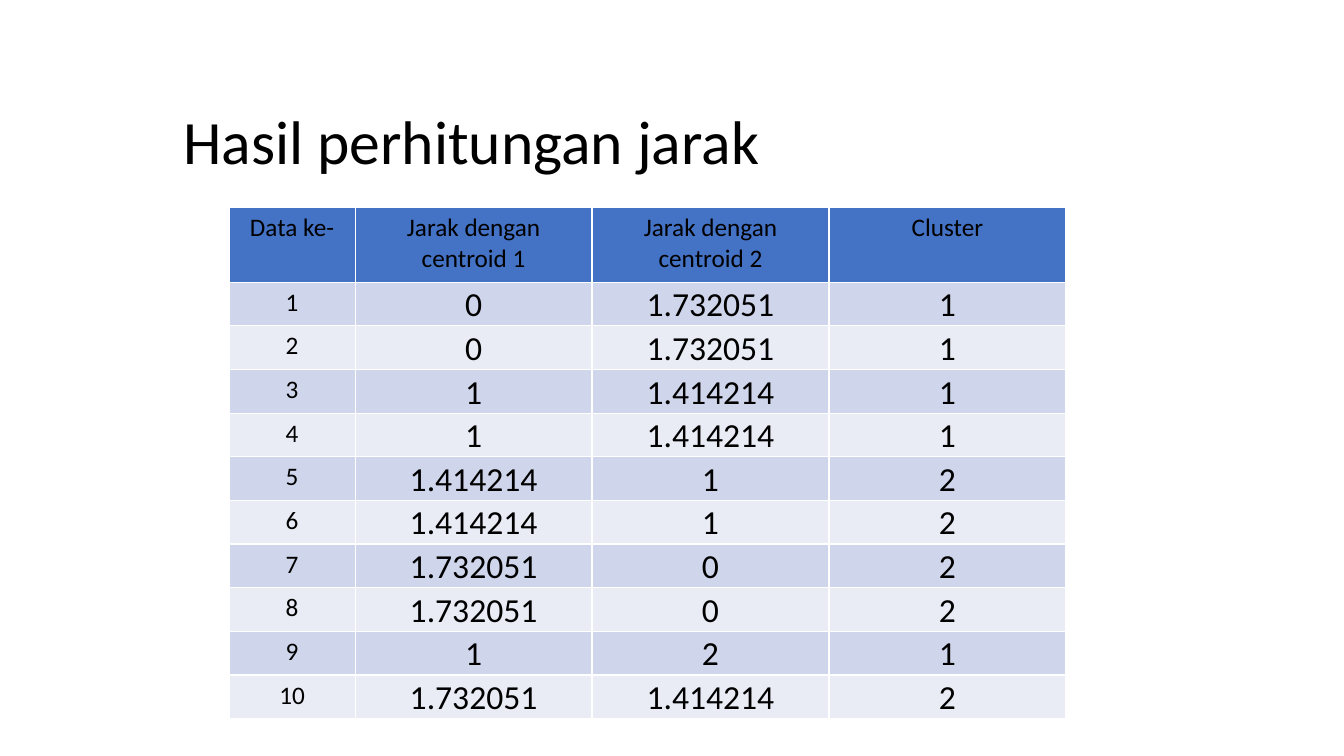
from pptx import Presentation
from pptx.dml.color import RGBColor as RGB
from pptx.enum.text import MSO_ANCHOR as Anchor, PP_ALIGN as Align
from pptx.util import Cm, Pt

COLORS = {"text": "000000", "head": "4472C4", "odd": "CFD5EA", "even": "E9EBF5"}
HEADS = ["Data ke-", "Jarak dengan centroid 1", "Jarak dengan centroid 2", "Cluster"]
ROWS = [
    ("0", "1.732051", "1"),
    ("0", "1.732051", "1"),
    ("1", "1.414214", "1"),
    ("1", "1.414214", "1"),
    ("1.414214", "1", "2"),
    ("1.414214", "1", "2"),
    ("1.732051", "0", "2"),
    ("1.732051", "0", "2"),
    ("1", "2", "1"),
    ("1.732051", "1.414214", "2"),
]


def write(frame, text, size=18, align=Align.CENTER, color="text", face="Calibri"):
    para = frame.paragraphs[0]
    para.alignment = align
    run = para.add_run()
    run.text = text
    font = run.font
    font.name, font.size, font.bold = face, Pt(size), False
    font.color.rgb = RGB.from_string(COLORS[color])


class Deck:
    def __init__(self):
        self.prs = Presentation()
        self.prs.slide_width, self.prs.slide_height = Cm(33.87), Cm(19.05)
        self.slide = self.prs.slides.add_slide(self.prs.slide_layouts[6])

    def title(self, text, left, top, width, height):
        box = self.slide.shapes.add_textbox(Cm(left), Cm(top), Cm(width), Cm(height))
        frame = box.text_frame
        frame.word_wrap = True
        frame.vertical_anchor = Anchor.MIDDLE
        write(frame, text, size=44, align=Align.LEFT)

    def cell(self, cell, text, fill, tight=False):
        """Fill one cell; a tight one holds large text on its bottom edge."""
        cell.fill.solid()
        cell.fill.fore_color.rgb = RGB.from_string(COLORS[fill])
        if tight:
            cell.margin_left = cell.margin_right = cell.margin_top = Cm(0.03)
            cell.margin_bottom = 0
            cell.vertical_anchor = Anchor.BOTTOM
        write(cell.text_frame, text, size=24 if tight else 18)

    def table(self, heads, rows, left, top, widths, heights):
        grid = self.slide.shapes.add_table(
            len(heights), len(widths), Cm(left), Cm(top),
            Cm(sum(widths)), Cm(sum(heights))).table
        for col, width in zip(grid.columns, widths):
            col.width = Cm(width)
        for row, height in zip(grid.rows, heights):
            row.height = Cm(height)
        for c, head in enumerate(heads):
            self.cell(grid.cell(0, c), head, "head")
        for r, row in enumerate(rows, 1):
            fill = "odd" if r % 2 else "even"
            for c, text in enumerate((str(r), *row)):
                self.cell(grid.cell(r, c), text, fill, tight=c > 0)


def main():
    deck = Deck()
    deck.title("Hasil perhitungan jarak", 4.37, 1.7, 23.88, 3.66)
    deck.table(HEADS, ROWS, 5.77, 5.23,
               widths=[3.18] + [5.97] * 3, heights=[1.88] + [1.1] * len(ROWS))
    deck.prs.save("out.pptx")


if __name__ == "__main__":
    main()
